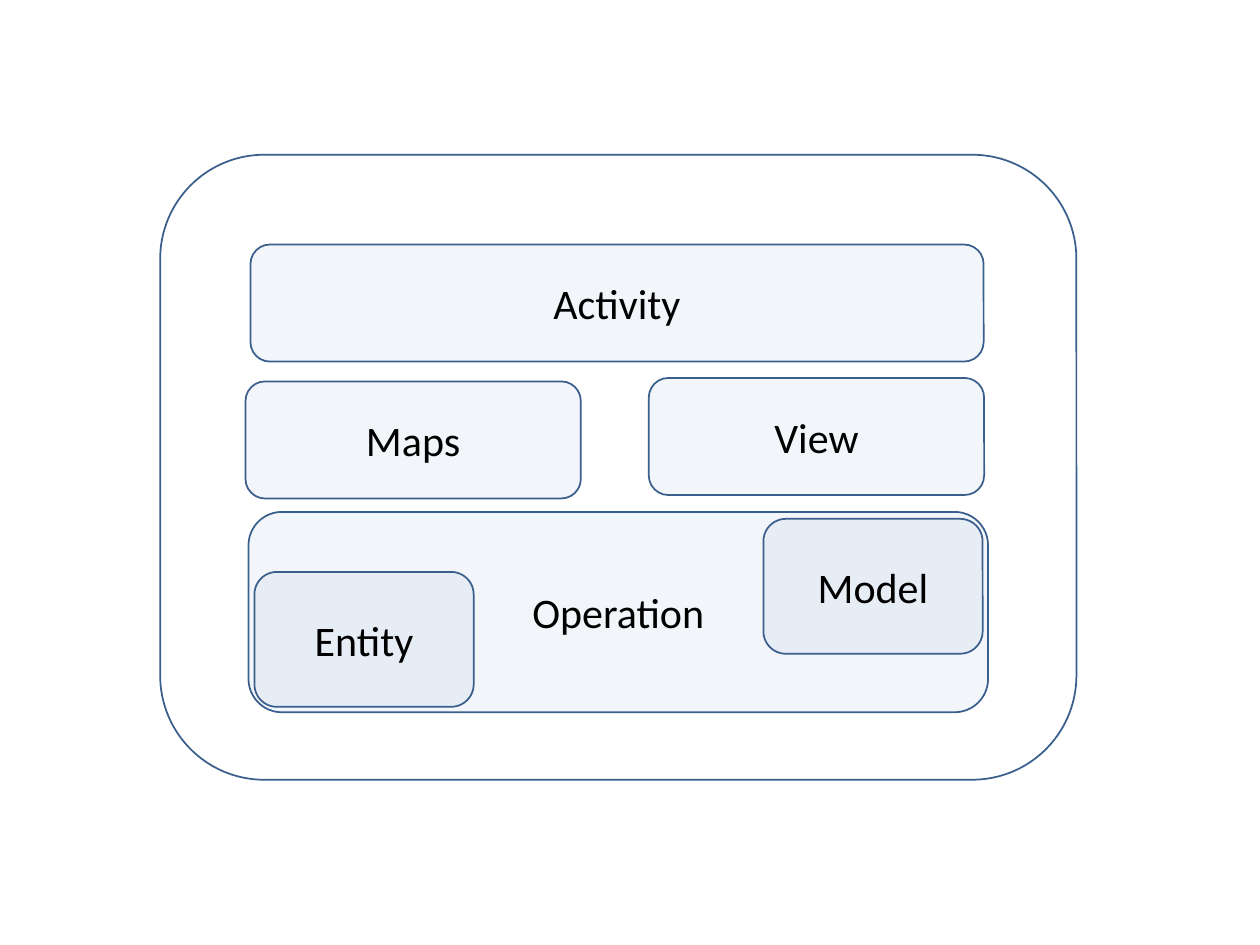
from lxml.etree import SubElement
from pptx import Presentation
from pptx.dml.color import RGBColor
from pptx.enum.shapes import MSO_SHAPE as Preset
from pptx.enum.text import MSO_ANCHOR as Anchor, PP_ALIGN as Align
from pptx.oxml.ns import qn
from pptx.util import Cm, Pt

BLUE = RGBColor(0x4F, 0x81, 0xBD)
OUTLINE = RGBColor(0x3A, 0x5F, 0x8C)
BLACK = RGBColor(0, 0, 0)


class LayerDiagram:
    """Draws outlined and tinted rounded boxes on one slide."""

    font_name = "Calibri"
    font_size = Pt(24)
    line_width = Pt(1)
    tint_percent = 7

    def __init__(self, slide):
        self.slide = slide

    def frame(self, left, top, width, height):
        shape = self.slide.shapes.add_shape(
            Preset.ROUNDED_RECTANGLE, Cm(left), Cm(top), Cm(width), Cm(height))
        shape.shadow.inherit = False
        shape.fill.background()
        shape.line.color.rgb = OUTLINE
        shape.line.width = self.line_width
        return shape

    def box(self, text, left, top, width, height):
        shape = self.frame(left, top, width, height)
        shape.fill.solid()
        shape.fill.fore_color.rgb = BLUE
        color = shape.fill._xPr.find(qn("a:solidFill")).find(qn("a:srgbClr"))
        SubElement(color, qn("a:alpha"), val=str(self.tint_percent * 1000))

        shape.text_frame.text = text
        shape.text_frame.vertical_anchor = Anchor.MIDDLE
        paragraph = shape.text_frame.paragraphs[0]
        paragraph.alignment = Align.CENTER
        paragraph.font.name = self.font_name
        paragraph.font.size = self.font_size
        paragraph.font.color.rgb = BLACK
        return shape


def main():
    presentation = Presentation()
    presentation.slide_width = Cm(25.4)
    presentation.slide_height = Cm(19.05)
    slide = presentation.slides.add_slide(presentation.slide_layouts[6])
    diagram = LayerDiagram(slide)

    row_height = 2.36
    half_size = (6.76, row_height)
    part_size = (4.42, 2.72)

    diagram.frame(3.23, 3.12, 18.47, 12.6)
    diagram.box("View", 13.08, 7.62, *half_size)
    diagram.box("Activity", 5.05, 4.93, 14.78, row_height)
    diagram.box("Operation", 5.01, 10.32, 14.91, 4.04)
    diagram.box("Maps", 4.95, 7.69, *half_size)
    diagram.box("Entity", 5.13, 11.53, *part_size)
    diagram.box("Model", 15.39, 10.46, *part_size)

    presentation.save("out.pptx")


if __name__ == "__main__":
    main()
